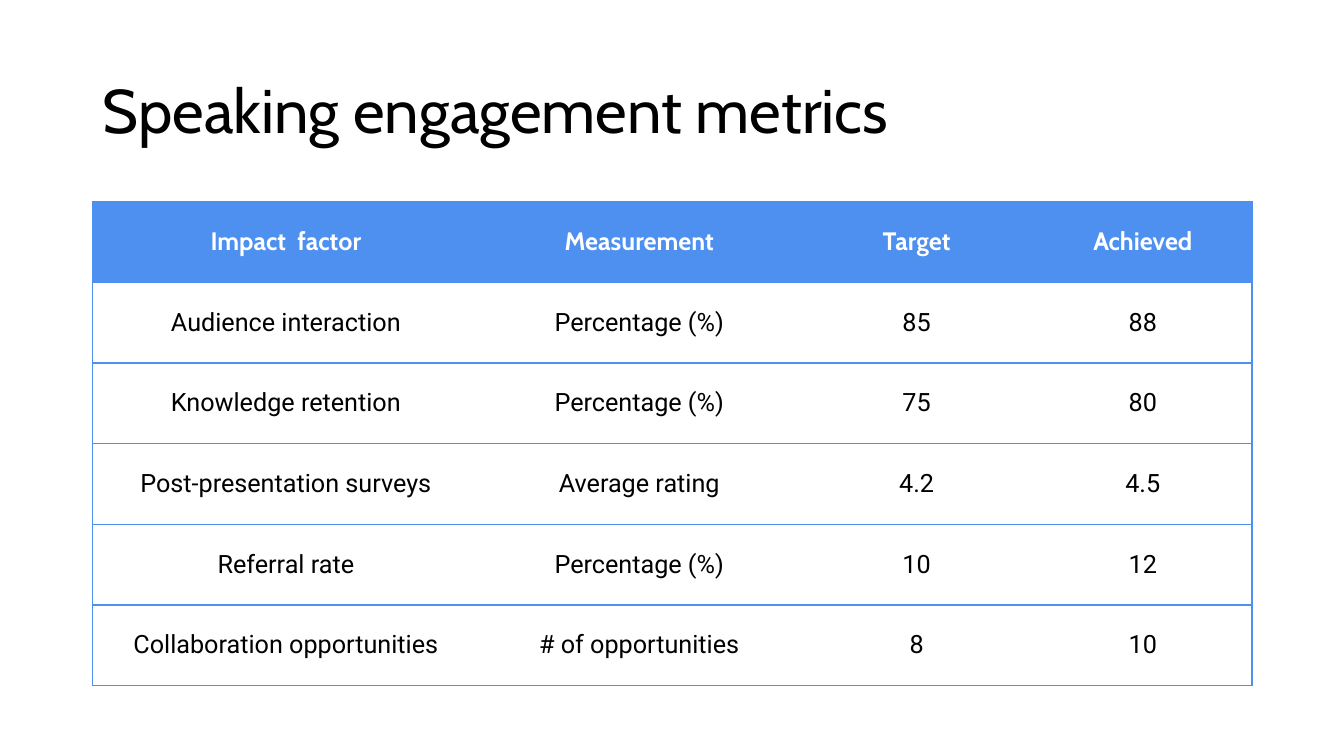
from pptx import Presentation
from pptx.dml.color import RGBColor
from pptx.enum.text import MSO_ANCHOR, PP_ALIGN
from pptx.oxml import parse_xml
from pptx.oxml.ns import nsdecls
from pptx.util import Cm, Pt

HEAD = ["Impact  factor", "Measurement", "Target", "Achieved"]
ROWS = [
    ["Audience interaction", "Percentage (%)", "85", "88"],
    ["Knowledge retention", "Percentage (%)", "75", "80"],
    ["Post-presentation surveys", "Average rating", "4.2", "4.5"],
    ["Referral rate", "Percentage (%)", "10", "12"],
    ["Collaboration opportunities", "# of opportunities", "8", "10"],
]
WIDTHS = [9.73, 8.08, 5.9, 5.5]
LEFT = 2.34


def color(code):
    return RGBColor.from_string(code)


class Deck:
    blue, white, black = "4D90EF", "FFFFFF", "000000"
    title_font, body_font = "Cabin", "Roboto"

    def __init__(self):
        self.show = Presentation()
        self.show.slide_width = Cm(33.87)
        self.show.slide_height = Cm(19.05)
        self.slide = self.show.slides.add_slide(self.show.slide_layouts[6])

    def text(self, frame, words, size, font, ink, bold=False, align=PP_ALIGN.LEFT):
        para = frame.paragraphs[0]
        para.alignment = align
        run = para.add_run()
        run.text = words
        run.font.size = Pt(size)
        run.font.name = font
        run.font.bold = bold
        run.font.color.rgb = color(ink)
        return para

    def title(self, words, left, top, width, height):
        box = self.slide.shapes.add_textbox(Cm(left), Cm(top), Cm(width), Cm(height))
        frame = box.text_frame
        frame.word_wrap = True
        frame.vertical_anchor = MSO_ANCHOR.MIDDLE
        para = self.text(frame, words, 44, self.title_font, self.black)
        para.line_spacing = 0.9

    def border(self, cell, sides):
        props = cell._tc.get_or_add_tcPr()
        for spot, side in enumerate("LRTB"):
            if side in sides:
                paint = f'<a:solidFill><a:srgbClr val="{self.blue}"/></a:solidFill>'
            else:
                paint = "<a:noFill/>"
            line = f'<a:ln{side} {nsdecls("a")} w="{Pt(1)}">{paint}</a:ln{side}>'
            props.insert(spot, parse_xml(line))

    def cell(self, cell, words, head, sides):
        cell.vertical_anchor = MSO_ANCHOR.MIDDLE
        cell.fill.solid()
        cell.fill.fore_color.rgb = color(self.blue if head else self.white)
        font = self.title_font if head else self.body_font
        ink = self.white if head else self.black
        self.text(cell.text_frame, words, 18, font, ink, head, PP_ALIGN.CENTER)
        self.border(cell, sides)

    def table(self, rows, widths, left, top, height):
        shape = self.slide.shapes.add_table(
            len(rows), len(widths), Cm(left), Cm(top), Cm(sum(widths)), Cm(height))
        table = shape.table
        table.horz_banding = False
        for col, width in zip(table.columns, widths):
            col.width = Cm(width)
        last = len(widths) - 1
        for r, row in enumerate(rows):
            for c, words in enumerate(row):
                sides = "TB" + "L" * (c == 0) + "R" * (c == last)
                self.cell(table.cell(r, c), words, r == 0, sides)


def main():
    deck = Deck()
    deck.title("Speaking engagement metrics", LEFT, 1.02, sum(WIDTHS), 3.68)
    deck.table([HEAD] + ROWS, WIDTHS, LEFT, 5.08, 12.2)
    deck.show.save("out.pptx")


if __name__ == "__main__":
    main()
